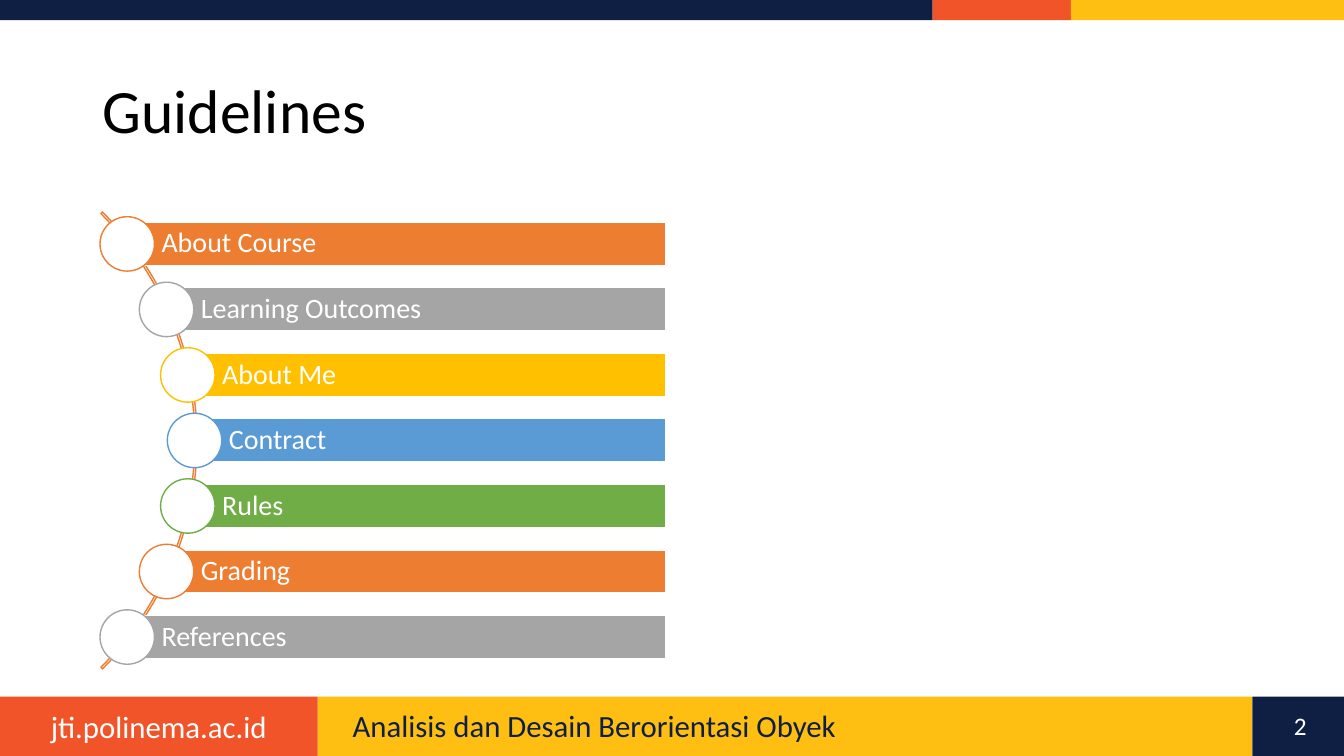
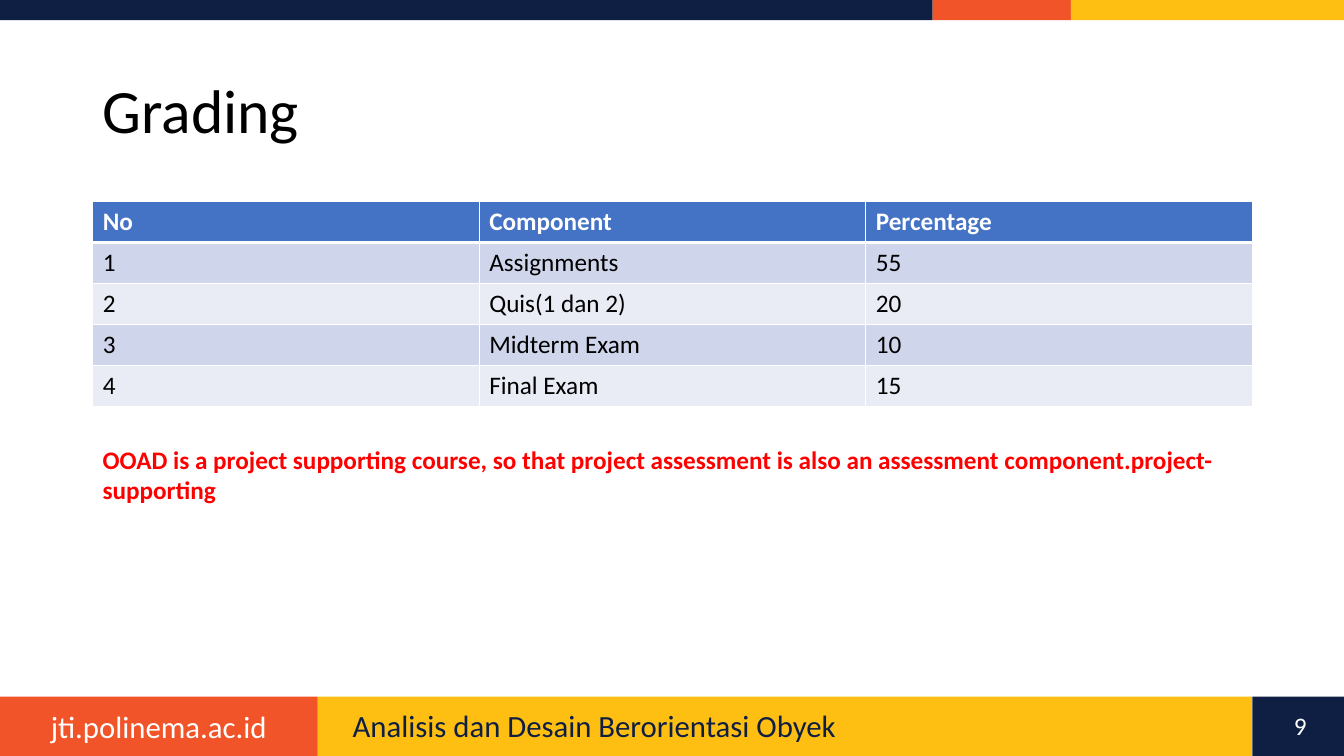
from math import sqrt
from pptx import Presentation
from pptx.dml.color import RGBColor as RGB
from pptx.enum.shapes import MSO_SHAPE as Shape
from pptx.enum.text import MSO_ANCHOR as Anchor, PP_ALIGN as Align
from pptx.oxml import parse_xml
from pptx.oxml.ns import nsdecls
from pptx.util import Inches, Pt

HUES = {
    "navy": "0E1F43", "red": "F15429", "gold": "FEBF12",
    "white": "FFFFFF", "black": "000000", "alert": "FF0000",
    "orange": "ED7D31", "gray": "A5A5A5", "yellow": "FFC000",
    "sky": "5B9BD5", "green": "70AD47",
    "head": "4472C4", "odd": "CFD5EA", "even": "E9EBF5",
}


def hue(name):
    return RGB.from_string(HUES[name])


class Deck:
    """Holds the shared style and the current slide."""
    font = "Calibri"
    site = "jti.polinema.ac.id"
    course = "Analisis dan Desain Berorientasi Obyek"
    # Left, top, width, height, colour
    bands = [
        (0, 0, 9.25, 0.2, "navy"),
        (9.25, 0, 1.38, 0.2, "red"),
        (10.62, 0, 2.71, 0.2, "gold"),
        (3.15, 6.91, 9.27, 0.59, "gold"),
        (0, 6.91, 3.15, 0.59, "red"),
        (12.42, 6.91, 0.92, 0.59, "navy"),
    ]

    def __init__(self):
        self.prs = Presentation()
        self.prs.slide_width = Inches(13.33)
        self.prs.slide_height = Inches(7.5)

    def page(self, title, number):
        """Start a slide with its bands, title and footer."""
        self.slide = self.prs.slides.add_slide(self.prs.slide_layouts[6])
        for *box, color in self.bands:
            self.shape(Shape.RECTANGLE, box, color)
        self.text((0, 6.97, 3.15, 0.47), self.site, 22, "white",
                  align=Align.CENTER)
        self.text((0.92, 0.4, 10.24, 1.45), title, 44, "black",
                  anchor=Anchor.MIDDLE, space=0.9)
        self.text((12.59, 7, 0.61, 0.4), number, 18, "white",
                  align=Align.CENTER)
        self.text((3.4, 7, 8.74, 0.4), self.course, 22, "navy", space=0.9)

    def shape(self, kind, box, fill=None, line=None):
        item = self.slide.shapes.add_shape(kind, *map(Inches, box))
        item.shadow.inherit = False
        if fill:
            item.fill.solid()
            item.fill.fore_color.rgb = hue(fill)
        else:
            item.fill.background()
        if line:
            item.line.color.rgb = hue(line)
            item.line.width = Pt(1)
        else:
            item.line.fill.background()
        return item

    def label(self, frame, words, size, color, bold=False,
              align=Align.LEFT, space=None):
        frame.text = words
        par = frame.paragraphs[0]
        par.alignment = align
        par.line_spacing = space
        font = par.runs[0].font
        font.name, font.size, font.bold = self.font, Pt(size), bold
        font.color.rgb = hue(color)

    def text(self, box, words, size, color, anchor=Anchor.TOP, **style):
        item = self.slide.shapes.add_textbox(*map(Inches, box))
        frame = item.text_frame
        frame.word_wrap = True
        frame.vertical_anchor = anchor
        self.label(frame, words, size, color, **style)

    def bar(self, box, words, color):
        frame = self.shape(Shape.RECTANGLE, box, color, "white").text_frame
        frame.word_wrap = True
        frame.vertical_anchor = Anchor.MIDDLE
        frame.margin_left = Inches(0.34)
        frame.margin_right = frame.margin_top = Inches(0.06)
        frame.margin_bottom = Inches(0.06)
        self.label(frame, words, 20, "white", space=0.9)

    def curve(self, items):
        """Bars that start on an arc, each with a circle at its head."""
        mid_x, mid_y, size = -1.25, 4.37, 6.41
        reach, step, right, high, dot = 3.18, 0.65, 6.6, 0.43, 0.54
        arc = self.shape(Shape.BLOCK_ARC, (mid_x - size / 2, mid_y - size / 2,
                                           size, size), line="orange")
        # Start angle, end angle, thickness
        for i, value in enumerate((189, 27, 0.0034)):
            arc.adjustments[i] = value
        for i, (words, color) in enumerate(items):
            drop = (i - (len(items) - 1) / 2) * step
            x, y = mid_x + sqrt(reach ** 2 - drop ** 2), mid_y + drop
            self.bar((x, y - high / 2, right - x, high), words, color)
            self.shape(Shape.OVAL, (x - dot / 2, y - dot / 2, dot, dot),
                       "white", color)

    def edge(self, cell, side, width):
        cell.get_or_add_tcPr().append(parse_xml(
            f'<a:ln{side} {nsdecls("a")} w="{Pt(width)}"><a:solidFill>'
            f'<a:srgbClr val="{HUES["white"]}"/></a:solidFill></a:ln{side}>'))

    def table(self, box, rows):
        grid = self.slide.shapes.add_table(
            len(rows), len(rows[0]), *map(Inches, box)).table
        for i, row in enumerate(rows):
            top = i == 0
            fill = "head" if top else "odd" if i % 2 else "even"
            for j, words in enumerate(row):
                cell = grid.cell(i, j)
                # Borders go before the fill
                for side in "LRTB":
                    thick = (top and side == "B") or (i == 1 and side == "T")
                    self.edge(cell._tc, side, 3 if thick else 1)
                cell.fill.solid()
                cell.fill.fore_color.rgb = hue(fill)
                self.label(cell.text_frame, words, 18,
                           "white" if top else "black", bold=top)


def main():
    deck = Deck()

    # Guidelines
    deck.page("Guidelines", "2")
    deck.curve([
        ("About Course", "orange"),
        ("Learning Outcomes", "gray"),
        ("About Me", "yellow"),
        ("Contract", "sky"),
        ("Rules", "green"),
        ("Grading", "orange"),
        ("References", "gray"),
    ])

    # Grading
    deck.page("Grading", "9")
    deck.table((0.92, 2, 11.5, 2.03), [
        ("No", "Component", "Percentage"),
        ("1", "Assignments", "55"),
        ("2", "Quis(1 dan 2)", "20"),
        ("3", "Midterm Exam", "10"),
        ("4", "Final Exam", "15"),
    ])
    deck.text((0.92, 4.36, 12.2, 0.7),
              "OOAD is a project supporting course, so that project assessment "
              "is also an assessment component.project-supporting",
              18, "alert", bold=True)

    deck.prs.save("out.pptx")


if __name__ == "__main__":
    main()
